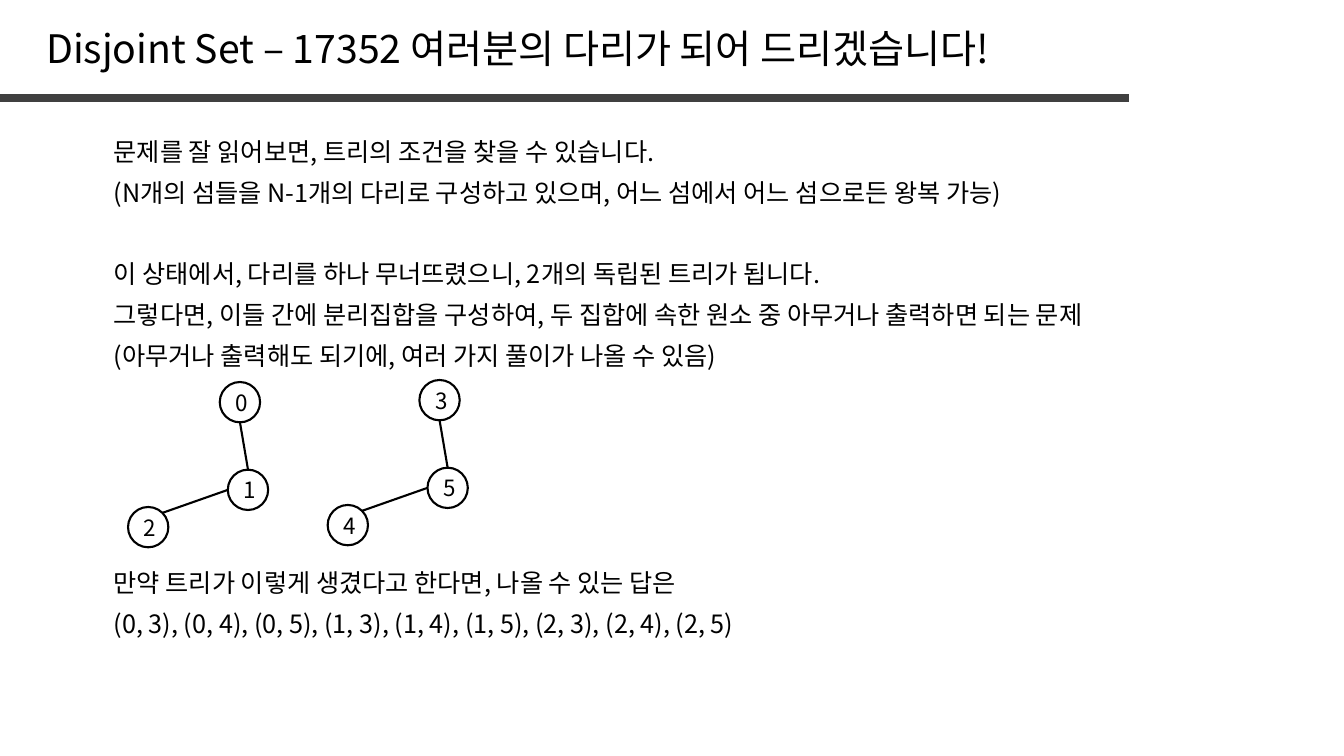
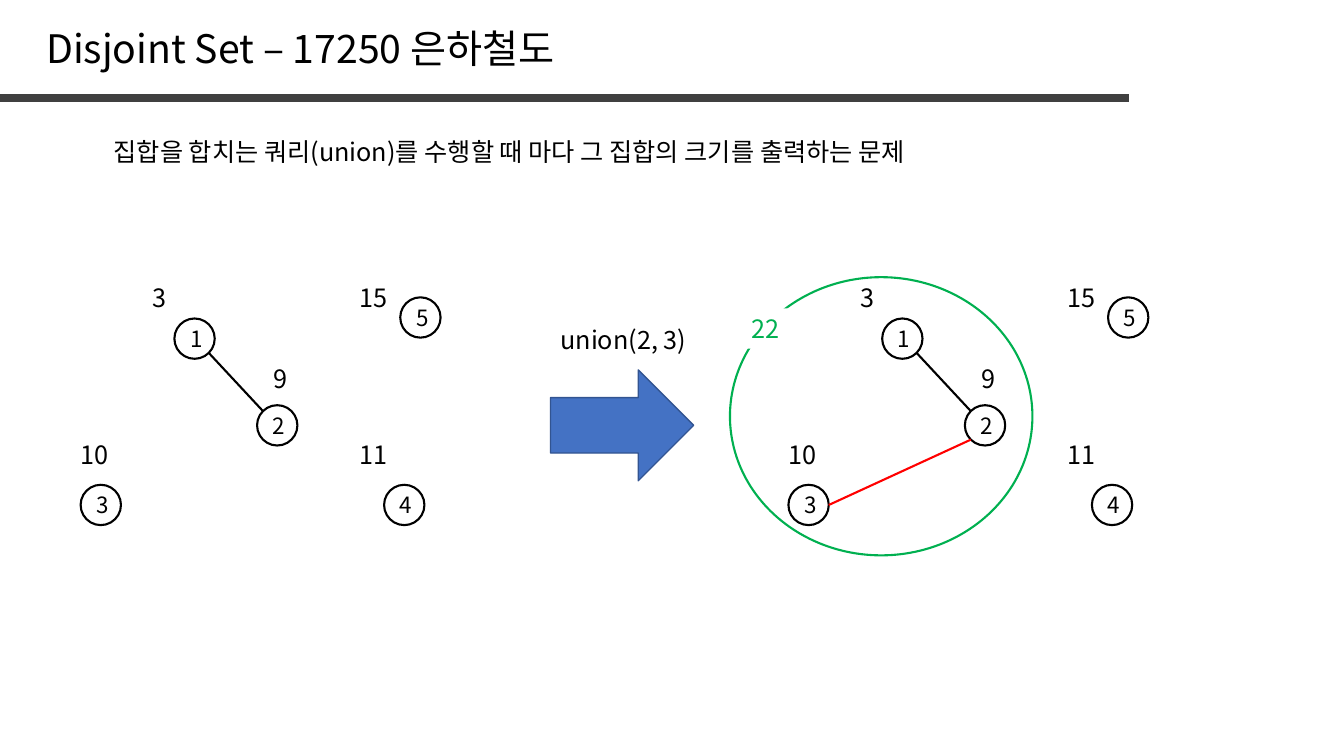
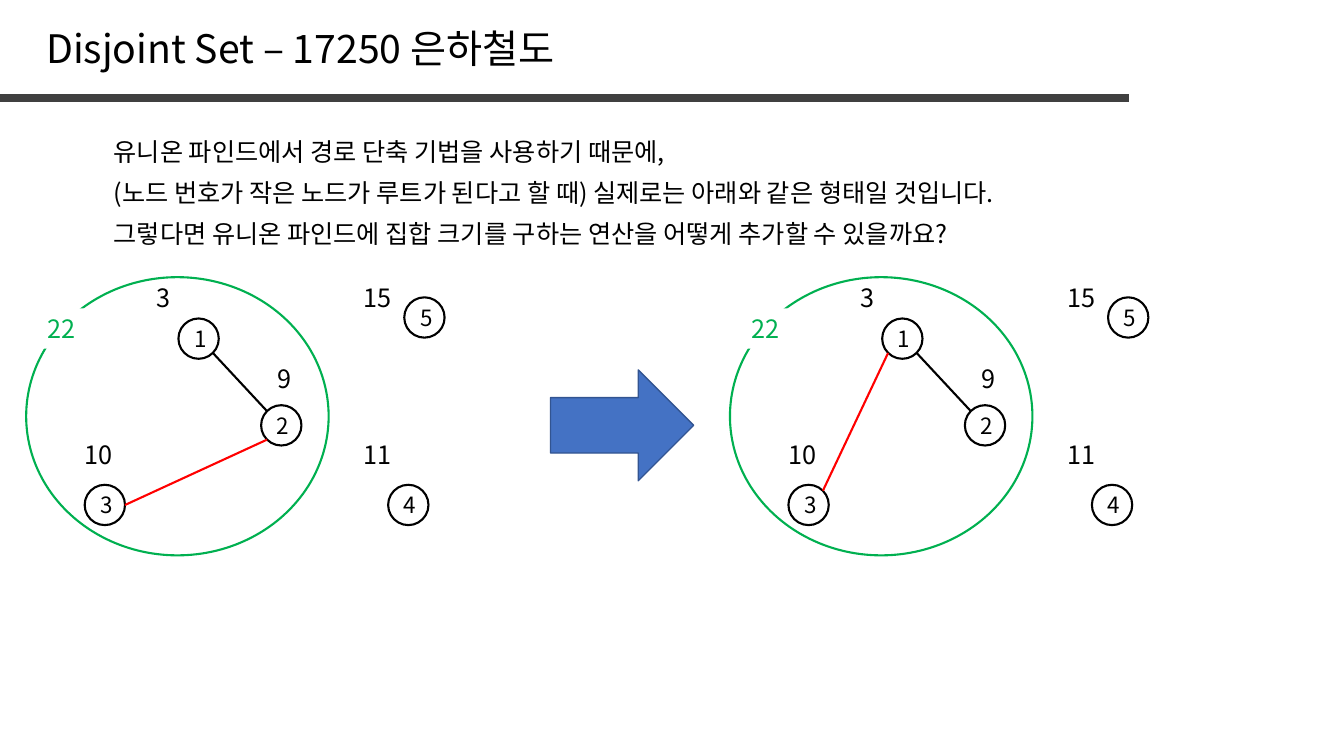
from lxml.etree import SubElement
from pptx import Presentation
from pptx.dml.color import RGBColor
from pptx.enum.shapes import MSO_CONNECTOR as CONNECTOR, MSO_SHAPE as SHAPE
from pptx.enum.text import MSO_ANCHOR as ANCHOR, MSO_AUTO_SIZE as AUTO_SIZE, PP_ALIGN as ALIGN
from pptx.oxml.ns import qn
from pptx.util import Pt

EMU_PER_PX = 9144  # 100 px to the inch
FONT = "Noto Sans CJK KR"
BLACK, WHITE, GRAY = "000000", "FFFFFF", "404040"
GREEN, RED, BLUE, NAVY = "00B050", "FF0000", "4472C4", "325491"

NODE = 40
ROW_H, ROW_PITCH = 40, 41
BODY_X, BODY_Y, BODY_W = 103, 130, 1120
GRAPH_Y, RIGHT_GRAPH_X = 275, 724

# Unit offsets from a node's centre to the points where edges meet it
SITES = {"N": (0, -1), "E": (1, 0), "S": (0, 1), "W": (-1, 0),
         "NE": (0.71, -0.71), "SE": (0.71, 0.71),
         "SW": (-0.71, 0.71), "NW": (-0.71, -0.71)}

TREE_NODES = [(91, 0), (99, 87), (0, 124)]
GRAPH_NODES = {"1": (151, 41), "2": (233, 127), "3": (58, 206),
               "4": (359, 206), "5": (375, 20)}
GRAPH_SIZES = [("3", 116, 0), ("15", 322, 0), ("9", 236, 81),
               ("10", 45, 156), ("11", 322, 156)]
EDGE_3_TO_2 = ("3", "E", "2", "SW")
EDGE_3_TO_1 = ("3", "NE", "1", "SW")


def px(n):
    return round(n * EMU_PER_PX)


def color(hex_string):
    return RGBColor.from_string(hex_string)


def set_text(tf, text, size, hex_color=BLACK, align=ALIGN.LEFT):
    tf.text = text
    p = tf.paragraphs[0]
    p.alignment = align
    for r in p.runs:
        r.font.size = Pt(size)
        r.font.name = FONT
        r.font.color.rgb = color(hex_color)
        SubElement(r.font._element, qn("a:ea"), typeface=FONT)


def add_text(s, x, y, w, h, text, size=18, wrap=True, **style):
    sp = s.shapes.add_textbox(px(x), px(y), px(w), px(h))
    sp.text_frame.word_wrap = wrap
    sp.text_frame.auto_size = AUTO_SIZE.SHAPE_TO_FIT_TEXT
    set_text(sp.text_frame, text, size, **style)
    return sp


def add_number(s, x, y, text, hex_color=BLACK):
    """Set size, in a box as wide as its digits need."""
    width = 40 if len(text) == 1 else 53
    return add_text(s, x, y, width, ROW_H, text, hex_color=hex_color, align=ALIGN.CENTER)


def add_shape(s, kind, x, y, w, h, line, weight=1.5, fill=None):
    sp = s.shapes.add_shape(kind, px(x), px(y), px(w), px(h))
    sp.shadow.inherit = False
    sp.line.color.rgb = color(line)
    sp.line.width = Pt(weight)
    if fill:
        sp.fill.solid()
        sp.fill.fore_color.rgb = color(fill)
    else:
        sp.fill.background()
    return sp


def add_line(s, start, end, hex_color=BLACK, weight=1.5):
    c = s.shapes.add_connector(CONNECTOR.STRAIGHT, *map(px, (*start, *end)))
    c.line.color.rgb = color(hex_color)
    c.line.width = Pt(weight)
    SubElement(c._element.spPr, qn("a:effectLst"))


def add_node(s, x, y, text):
    sp = add_shape(s, SHAPE.OVAL, x, y, NODE, NODE, BLACK)
    sp.text_frame.vertical_anchor = ANCHOR.MIDDLE
    set_text(sp.text_frame, text, 16, align=ALIGN.CENTER)


def add_edge(s, nodes, edge, hex_color=BLACK):
    """Join two nodes; edge is (node, site, node, site)."""
    def point(name, site):
        return [pos + NODE / 2 * (1 + d) for pos, d in zip(nodes[name], SITES[site])]

    add_line(s, point(*edge[:2]), point(*edge[2:]), hex_color)


def add_nodes(s, x, y, offsets):
    """Draw named nodes at offsets from (x, y) and return their positions."""
    nodes = {name: (x + dx, y + dy) for name, (dx, dy) in offsets.items()}
    for name, pos in nodes.items():
        add_node(s, *pos, name)
    return nodes


def add_tree(s, x, y, names):
    root, middle, leaf = names
    nodes = add_nodes(s, x, y, dict(zip(names, TREE_NODES)))
    add_edge(s, nodes, (leaf, "NE", middle, "W"))
    add_edge(s, nodes, (root, "S", middle, "N"))


def add_graph(s, x, y, red_edge=None):
    """Five weighted nodes; a red edge also rings the merged set."""
    nodes = add_nodes(s, x, y, GRAPH_NODES)
    add_edge(s, nodes, ("1", "SE", "2", "NW"))
    for text, dx, dy in GRAPH_SIZES:
        add_number(s, x + dx, y + dy, text)
    if red_edge:
        add_shape(s, SHAPE.OVAL, x, y, 300, 276, GREEN)
        total = add_number(s, x + 9, y + 31, "22", GREEN)
        total.fill.solid()
        total.fill.fore_color.rgb = color(WHITE)
        add_edge(s, nodes, red_edge, RED)


def add_arrow(s):
    add_shape(s, SHAPE.RIGHT_ARROW, 546, 367, 142, 110, NAVY, 1, BLUE)


def add_rows(s, y, rows):
    for i, text in enumerate(rows):
        add_text(s, BODY_X, y + i * ROW_PITCH, BODY_W, ROW_H, text)


def add_slide(prs, title, title_w):
    s = prs.slides.add_slide(prs.slide_layouts[6])
    add_line(s, (0, 97), (1120, 97), GRAY, 6)
    add_text(s, 36, 19, title_w, 57, title, 28, wrap=False)
    return s


def bridge_slide(prs):
    s = add_slide(prs, "Disjoint Set – 17352 여러분의 다리가 되어 드리겠습니다!", 975)
    add_rows(s, BODY_Y, [
        "문제를 잘 읽어보면, 트리의 조건을 찾을 수 있습니다.",
        "(N개의 섬들을 N-1개의 다리로 구성하고 있으며, 어느 섬에서 어느 섬으로든 왕복 가능)",
    ])
    add_rows(s, 251, [
        "이 상태에서, 다리를 하나 무너뜨렸으니, 2개의 독립된 트리가 됩니다.",
        "그렇다면, 이들 간에 분리집합을 구성하여, 두 집합에 속한 원소 중 아무거나 출력하면 되는 문제",
        "(아무거나 출력해도 되기에, 여러 가지 풀이가 나올 수 있음)",
    ])
    add_tree(s, 127, 379, "012")
    add_tree(s, 325, 377, "354")
    add_rows(s, 558, [
        "만약 트리가 이렇게 생겼다고 한다면, 나올 수 있는 답은",
        "(0, 3), (0, 4), (0, 5), (1, 3), (1, 4), (1, 5), (2, 3), (2, 4), (2, 5)",
    ])


def railway_slide(prs, rows, left_x, left_edge, right_edge):
    """Graph before and after a step; returns the slide."""
    s = add_slide(prs, "Disjoint Set – 17250 은하철도", 541)
    add_rows(s, BODY_Y, rows)
    add_graph(s, left_x, GRAPH_Y, left_edge)
    add_arrow(s)
    add_graph(s, RIGHT_GRAPH_X, GRAPH_Y, right_edge)
    return s


def main():
    prs = Presentation()
    prs.slide_width, prs.slide_height = px(1333), px(750)
    bridge_slide(prs)
    s = railway_slide(prs, [
        "집합을 합치는 쿼리(union)를 수행할 때 마다 그 집합의 크기를 출력하는 문제",
    ], 22, None, EDGE_3_TO_2)
    add_text(s, 546, 317, 146, ROW_H, "union(2, 3)")
    railway_slide(prs, [
        "유니온 파인드에서 경로 단축 기법을 사용하기 때문에,",
        "(노드 번호가 작은 노드가 루트가 된다고 할 때) 실제로는 아래와 같은 형태일 것입니다.",
        "그렇다면 유니온 파인드에 집합 크기를 구하는 연산을 어떻게 추가할 수 있을까요?",
    ], 26, EDGE_3_TO_2, EDGE_3_TO_1)
    prs.save("out.pptx")


if __name__ == "__main__":
    main()
